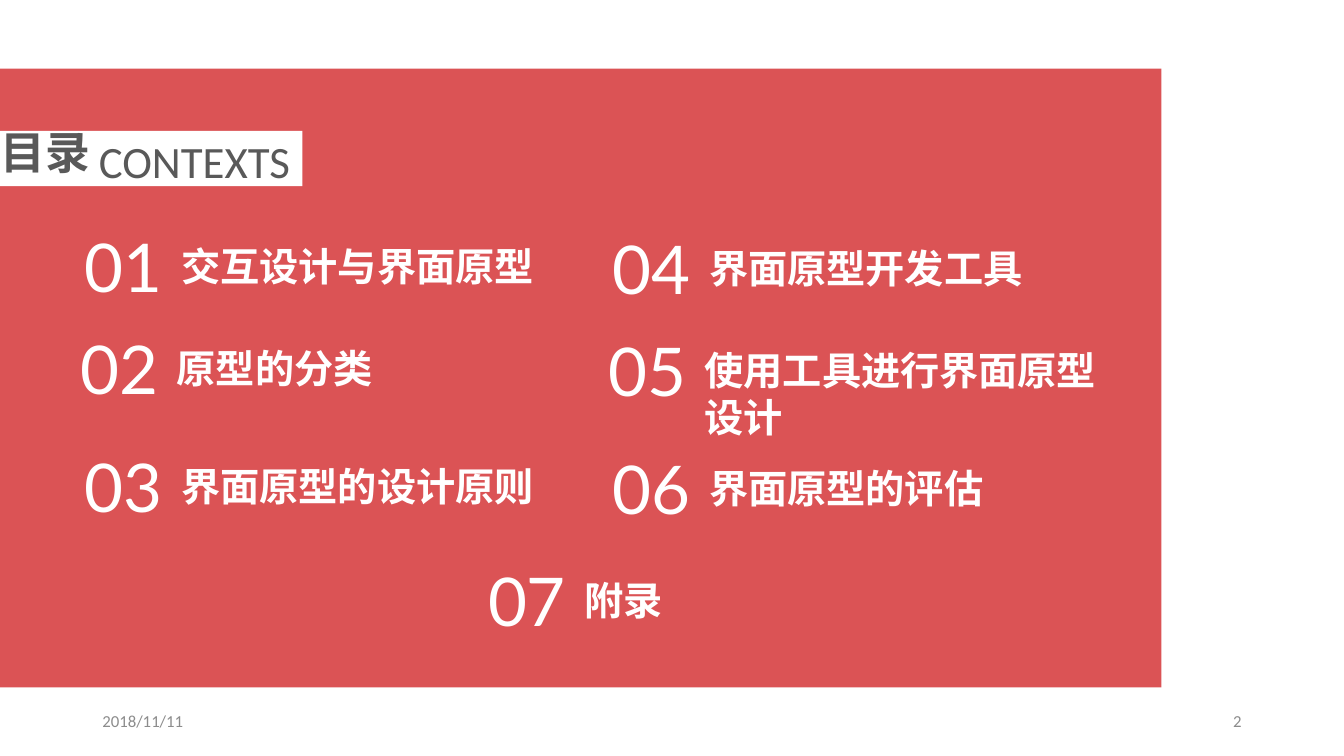
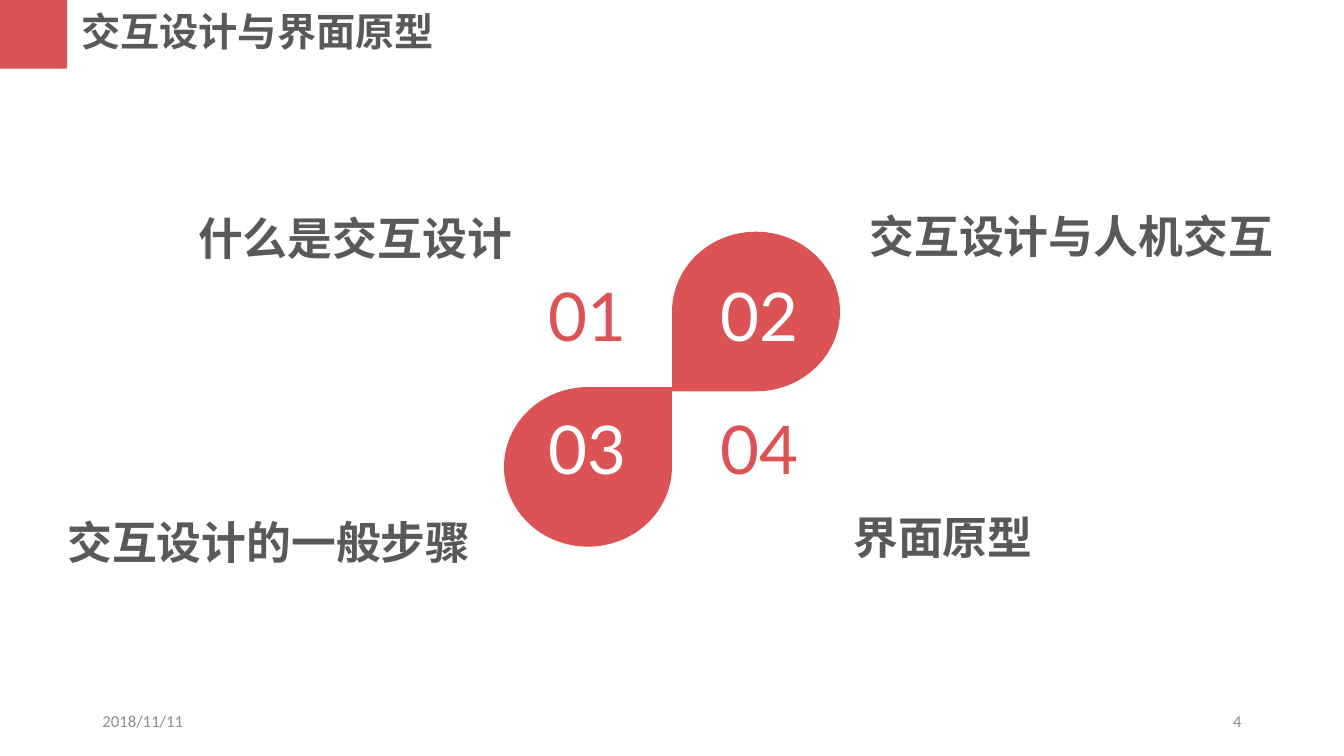
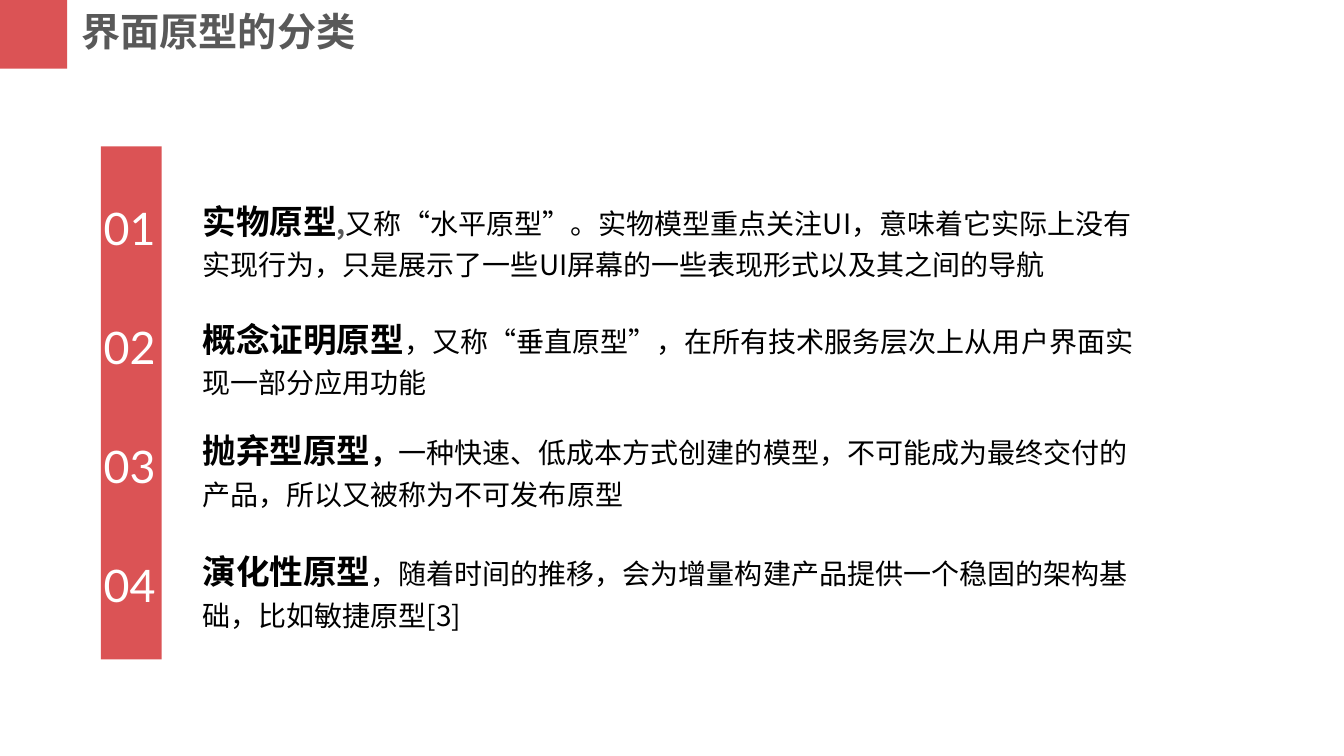
from lxml.etree import SubElement
from pptx import Presentation
from pptx.dml.color import RGBColor
from pptx.enum.shapes import MSO_SHAPE as Shape
from pptx.enum.text import MSO_ANCHOR as Anchor, PP_ALIGN as Align
from pptx.oxml.ns import qn
from pptx.util import Pt

RED = RGBColor(0xDB, 0x53, 0x55)
WHITE = RGBColor(0xFF, 0xFF, 0xFF)
BLACK = RGBColor(0, 0, 0)
DARK = RGBColor(0x59, 0x59, 0x59)
GREY = RGBColor(0x8C, 0x8C, 0x8C)

CJK, NUMERAL, LATIN = "Noto Sans CJK SC", "Lato", "Calibri"


def style(name, size, color, bold=False):
    return {"name": name, "size": Pt(size), "bold": bold}, color


HEADING = style(CJK, 28, DARK, True)
ENTRY = style(CJK, 28, WHITE, True)
TOPIC = style(CJK, 32, DARK, True)
ENGLISH = style(LATIN, 32, DARK)
FOOTER = style(LATIN, 12, GREY)
TERM = style(CJK, 24, BLACK, True)
BODY = style(CJK, 20, BLACK)
BODY_BOLD = style(CJK, 20, BLACK, True)
COMMA = style(CJK, 20, DARK, True)


def numeral(size, color):
    return style(NUMERAL, size, color)


def add_text(slide, box, runs, spacing=None, align=Align.LEFT, anchor=Anchor.TOP):
    frame = slide.shapes.add_textbox(*map(Pt, box)).text_frame
    frame.word_wrap = True
    frame.vertical_anchor = anchor
    paragraph = frame.paragraphs[0]
    paragraph.alignment = align
    if spacing:
        paragraph.line_spacing = spacing
    for words, (values, color) in runs:
        run = paragraph.add_run()
        run.text = words
        for key, value in values.items():
            setattr(run.font, key, value)
        run.font.color.rgb = color
        east_asian = SubElement(run.font._element, qn("a:ea"))
        east_asian.set("typeface", values["name"])


def add_block(slide, box, color, kind=Shape.RECTANGLE, rotation=0):
    block = slide.shapes.add_shape(kind, *map(Pt, box))
    block.shadow.inherit = False
    block.fill.solid()
    block.fill.fore_color.rgb = color
    block.line.fill.background()
    block.rotation = rotation


def add_footer(slide, number):
    for left, words, align in ((66, "2018/11/11", Align.LEFT), (678, number, Align.RIGHT)):
        add_text(slide, (left, 500.5, 216, 28.75), [(words, FOOTER)],
                 align=align, anchor=Anchor.MIDDLE)


def add_heading(slide, words):
    add_block(slide, (0, 0, 48, 49), RED)
    add_text(slide, (51, 2, 353, 41), [(words, HEADING)])


def add_entry(slide, left, top, number, words):
    add_text(slide, (left, top, 96, 65.5), [(number, numeral(48, WHITE))])
    add_text(slide, (left + 69, top + 12, 296, 41), [(words, ENTRY)])


def build_contents(slide):
    add_block(slide, (0, 49, 829.5, 442), RED)
    add_block(slide, (-1.5, 93.5, 217.5, 39.5), WHITE)
    add_text(slide, (-6.5, 85.5, 86.5, 46), [("目录", TOPIC)])
    add_text(slide, (63.5, 92, 190, 46), [("CONTEXTS", ENGLISH)])
    columns = (
        (53.5, 0, ("交互设计与界面原型", "原型的分类", "界面原型的设计原则")),
        (430.5, 1.5, ("界面原型开发工具", "使用工具进行界面原型设计", "界面原型的评估")),
    )
    rows = ((0, 157.5), (-3.25, 230.5), (0, 314.5))
    number = 1
    for left, drop, titles in columns:
        for (shift, top), title in zip(rows, titles):
            add_entry(slide, left + shift, top + drop, f"{number:02}", title)
            number += 1
    add_entry(slide, 341.5, 396, f"{number:02}", "附录")
    add_footer(slide, "2")


def build_petals(slide, left=360, top=165.5, width=120, height=114):
    add_heading(slide, "交互设计与界面原型")
    add_block(slide, (left + width, top, width, height), RED, Shape.TEAR, 180)
    add_block(slide, (left, top + 111, width, height), RED, Shape.TEAR)
    topics = (
        ("什么是交互设计", -225.5, -26, RED),
        ("交互设计与人机交互", 254, -27.5, WHITE),
        ("交互设计的一般步骤", -319, 191, WHITE),
        ("界面原型", 242.5, 187.5, RED),
    )
    for index, (topic, across, down, color) in enumerate(topics):
        row, column = divmod(index, 2)
        add_text(slide, (left + 24.5 + 123 * column, top + 26.75 + 95 * row, 96, 65.5),
                 [(f"{index + 1:02}", numeral(48, color))])
        add_text(slide, (left + across, top + down, 343.5, 54), [(topic, TOPIC)], spacing=1.2)
    add_footer(slide, "4")


def build_kinds(slide, left=72, top=104.5):
    add_heading(slide, "界面原型的分类")
    add_block(slide, (left, top, 43.5, 366.5), RED)
    kinds = (
        (29.5, [("实物原型", TERM), (",", COMMA),
                ("又称“水平原型”。实物模型重点关注UI，意味着它实际上没有实现行为，"
                 "只是展示了一些UI屏幕的一些表现形式以及其之间的导航", BODY)]),
        (113.75, [("概念证明原型", TERM),
                  ("，又称“垂直原型”，在所有技术服务层次上从用户界面实现一部分应用功能", BODY)]),
        (193.5, [("抛弃型原型", TERM), ("，", BODY_BOLD),
                 ("一种快速、低成本方式创建的模型，不可能成为最终交付的产品，"
                  "所以又被称为不可发布原型", BODY)]),
        (280, [("演化性原型", TERM),
               ("，随着时间的推移，会为增量构建产品提供一个稳固的架构基础，"
                "比如敏捷原型[3]", BODY)]),
    )
    for index, (drop, runs) in enumerate(kinds):
        add_text(slide, (left - 5, top + 35 + 85 * index, 63, 46),
                 [(f"{index + 1:02}", numeral(32, WHITE))])
        add_text(slide, (left + 65.5, top + drop, 690.5, 68), runs, spacing=1.2)


def main():
    deck = Presentation()
    deck.slide_width, deck.slide_height = Pt(960), Pt(540)
    for build in (build_contents, build_petals, build_kinds):
        build(deck.slides.add_slide(deck.slide_layouts[6]))
    deck.save("out.pptx")


if __name__ == "__main__":
    main()
